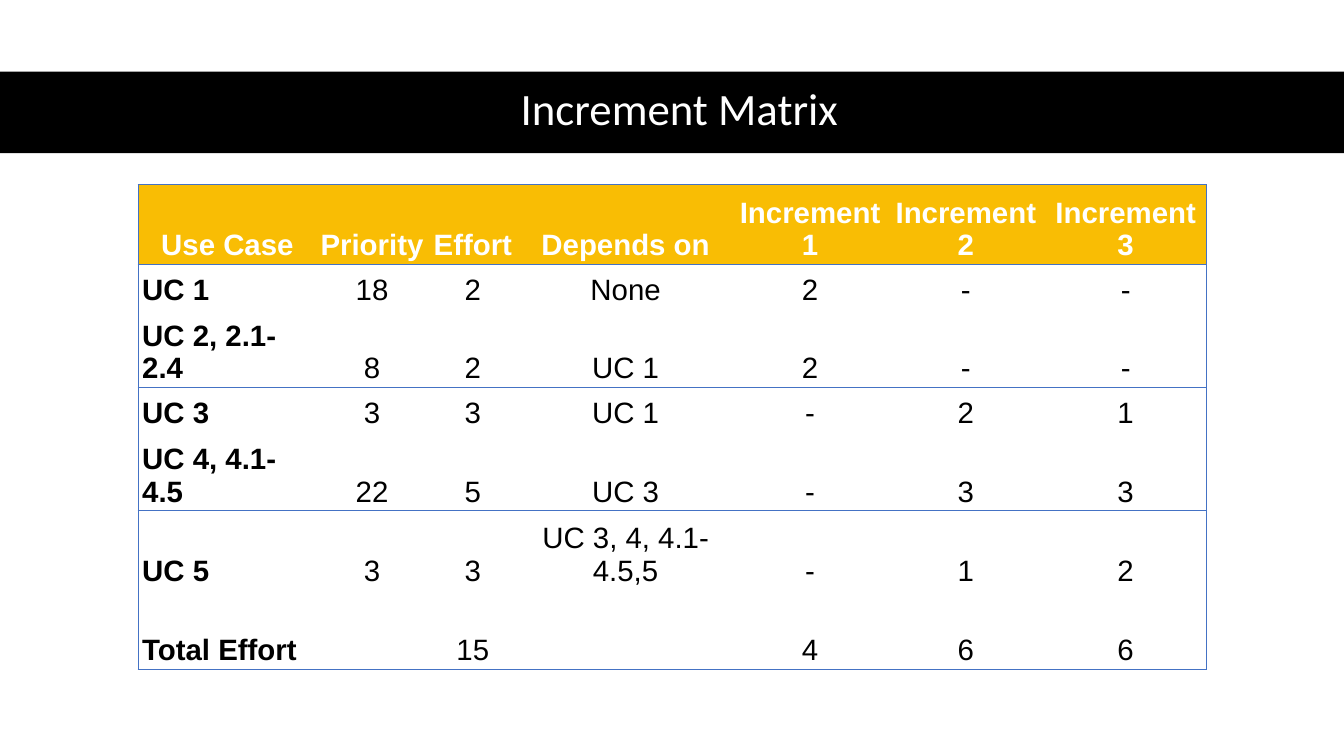
from lxml import etree
from pptx import Presentation
from pptx import util as u
from pptx.dml.color import RGBColor
from pptx.enum import shapes, text
from pptx.oxml import ns


def paint(fill, color):
    fill.solid()
    fill.fore_color.rgb = RGBColor.from_string(color)


def style(para, font, size, color, bold=False):
    for run in para.runs:
        run.font.name = font
        run.font.size = u.Pt(size)
        run.font.bold = bold
        paint(run.font.fill, color)


deck = Presentation()
deck.slide_width = u.Inches(13.33)
deck.slide_height = u.Inches(7.5)
slide = deck.slides.add_slide(deck.slide_layouts[6])

band = slide.shapes.add_shape(
    shapes.MSO_SHAPE.RECTANGLE, 0, u.Inches(0.71), deck.slide_width, u.Inches(0.81))
band.shadow.inherit = False
paint(band.fill, "000000")
band.line.fill.background()

title = slide.shapes.add_textbox(
    u.Inches(0.61), u.Inches(0.7), u.Inches(12.26), u.Inches(0.81))
frame = title.text_frame
frame.word_wrap = True
frame.vertical_anchor = text.MSO_ANCHOR.MIDDLE
frame.text = "Increment Matrix"
para = frame.paragraphs[0]
para.alignment = text.PP_ALIGN.CENTER
para.line_spacing = 0.9
style(para, "Calibri", 32, "FFFFFF")

rows = [
    ["Use Case", "Priority", "Effort", "Depends on", "Increment 1", "Increment 2", "Increment 3"],
    ["UC 1", "18", "2", "None", "2", "-", "-"],
    ["UC 2, 2.1-2.4", "8", "2", "UC 1", "2", "-", "-"],
    ["UC 3", "3", "3", "UC 1", "-", "2", "1"],
    ["UC 4, 4.1-4.5", "22", "5", "UC 3", "-", "3", "3"],
    ["UC 5", "3", "3", "UC 3, 4, 4.1-4.5,5", "-", "1", "2"],
    ["Total Effort", "", "15", "", "4", "6", "6"],
]
widths = [1.77, 1.1, 0.9, 2.13, 1.53, 1.56, 1.61]
heights = [0.79, 0.44, 0.78, 0.44, 0.79, 0.78, 0.79]
rules = {0, 1, 3, 5, 7}

grid = slide.shapes.add_table(
    len(rows), len(widths), u.Inches(1.37), u.Inches(1.83),
    u.Inches(sum(widths)), u.Inches(sum(heights))).table
grid.horz_banding = False
grid.first_row = False
grid._tbl.tblPr.find(ns.qn("a:tableStyleId")).text = "{2D5ABB26-0587-4C30-8999-92F81FD0307C}"
for col, width in zip(grid.columns, widths):
    col.width = u.Inches(width)

for r, row in enumerate(rows):
    grid.rows[r].height = u.Inches(heights[r])
    for c, value in enumerate(row):
        cell = grid.cell(r, c)
        cell.margin_left = cell.margin_right = u.Inches(0.02 if value == "Priority" else 0.04)
        cell.margin_top = cell.margin_bottom = u.Inches(0.02)
        cell.vertical_anchor = text.MSO_ANCHOR.BOTTOM
        props = cell._tc.get_or_add_tcPr()
        edges = {"L": c == 0, "R": c == len(widths) - 1, "T": r in rules, "B": r + 1 in rules}
        for side, drawn in edges.items():
            line = etree.SubElement(
                props, ns.qn(f"a:ln{side}"), w=str(u.Pt(0.75) if drawn else 0))
            if drawn:
                fill = etree.SubElement(line, ns.qn("a:solidFill"))
                etree.SubElement(fill, ns.qn("a:srgbClr"), val="4472C4")
            else:
                etree.SubElement(line, ns.qn("a:noFill"))
        if r == 0:
            paint(cell.fill, "F9BD04")
        else:
            cell.fill.background()
        cell.text_frame.text = value
        para = cell.text_frame.paragraphs[0]
        left = c == 0 and r > 0
        para.alignment = text.PP_ALIGN.LEFT if left else text.PP_ALIGN.CENTER
        style(para, "Arial", 21, "000000" if r else "FFFFFF", r == 0 or c == 0)

deck.save("out.pptx")
